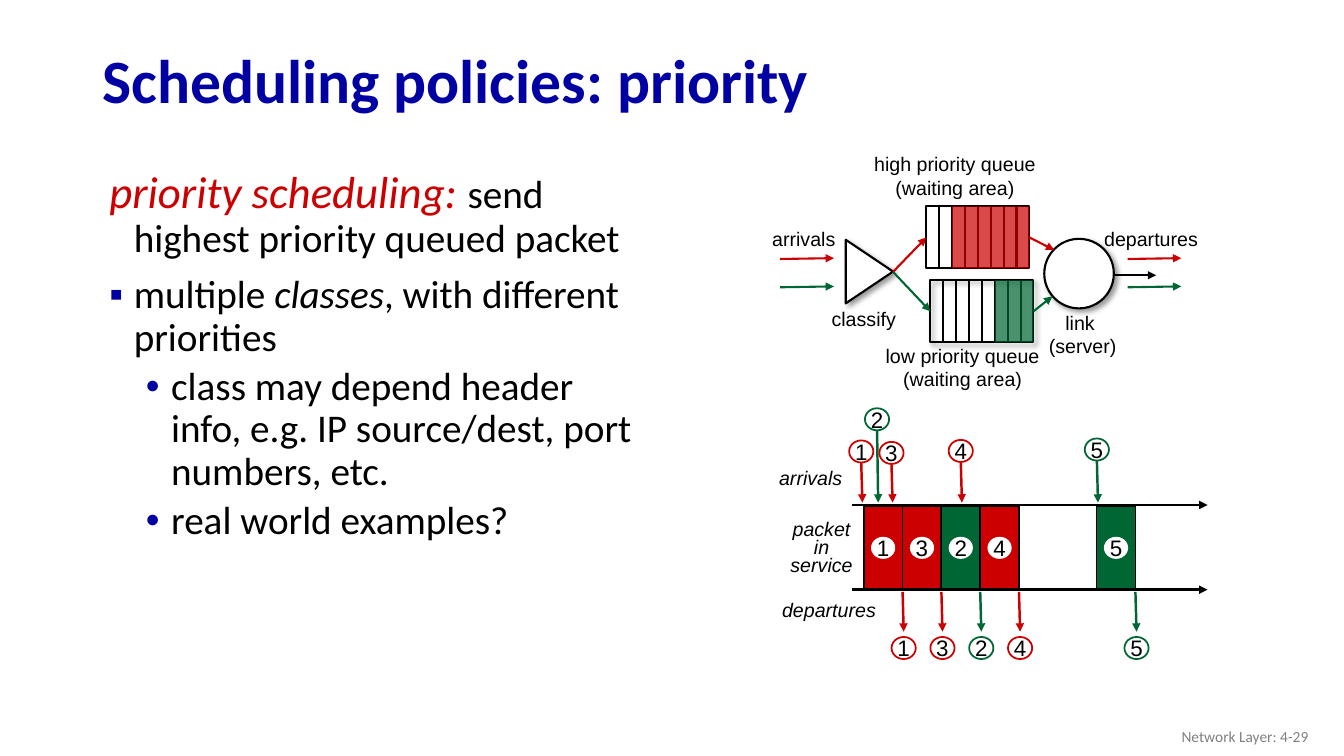
from lxml.etree import SubElement
from pptx import Presentation
from pptx.dml.color import RGBColor
from pptx.enum.shapes import MSO_CONNECTOR as CONNECTOR, MSO_SHAPE as SHAPE
from pptx.enum.text import MSO_ANCHOR as ANCHOR, PP_ALIGN as ALIGN
from pptx.oxml.ns import qn
from pptx.util import Pt

RED, GREEN, BLACK, WHITE, NAVY = "CC0000", "006633", "000000", "FFFFFF", "0000A3"
GREY = "808080"

TITLE = "Scheduling policies: priority"
FOOTER = "Network Layer: 4-29"
BODY = [
    {"runs": [("priority scheduling: ", {"size": 32, "color": RED, "italic": True}),
              ("send highest priority queued packet", {})]},
    {"runs": [("multiple ", {}), ("classes", {"italic": True}),
              (", with different priorities", {})], "bullet": "▪"},
    {"runs": [("class may depend header info, e.g. IP source/dest, port numbers, etc.", {})],
     "bullet": "•", "margin": 54.7, "hang": 18, "before": 5},
    {"runs": [("real world examples?", {})],
     "bullet": "•", "margin": 54.7, "hang": 18, "before": 5},
]

QUEUE_SIZE, QUEUE_CELLS = (73.6, 44.4), 8
QUEUES = {
    "low": {"left": 664.6, "top": 200.2, "filled": 3, "color": GREEN, "shadow": True},
    "high": {"left": 661.7, "top": 147.4, "filled": 6, "color": RED, "shadow": False},
}
CLASSIFIER_TIP = (637.9, 194.2)
SERVER_ENTRY = {"high": (753.1, 178.6), "low": (751.7, 211.7)}
FLOW_ARROWS = [
    (left, y, left + 38.4, y - 0.6, color)
    for left in (557.3, 805.4) for y, color in ((185, RED), (205.2, GREEN))
] + [(795.6, 196.6, 825.8, 196.6, BLACK)]
CENTRED_LABELS = [
    ("high priority queue\n(waiting area)", (614.9, 105.1, 134.6, 41)),
    ("low priority queue\n(waiting area)", (625, 241.9, 125.3, 41)),
    ("arrivals", (544.3, 158.4, 59.8, 24.5)),
    ("classify", (586.1, 216, 61.9, 24.5)),
    ("departures", (781.2, 158.4, 82.1, 24.5)),
    ("link\n (server)", (738, 218.2, 67, 41)),
]

AXIS_LEFT, AXIS_RIGHT, ARRIVAL_AXIS, DEPARTURE_AXIS = 608.4, 862.6, 360.7, 421.2
SERVICE_START, SLOT = 617, 27.72
SERVICE = [("1", 0, RED), ("3", 1, RED), ("2", 2, GREEN), ("4", 3, RED), ("5", 6, GREEN)]
ARRIVALS = [("5", 783.5, 313.2, GREEN), ("2", 626.5, 291.6, GREEN), ("1", 615.2, 314.6, RED),
            ("3", 636.8, 315.6, RED), ("4", 686.3, 314.2, RED)]
BADGE = (17.3, 15.8)
DEPARTURE_BADGE_TOP = 455

deck = Presentation()
deck.slide_width, deck.slide_height = Pt(960), Pt(540)
slide = deck.slides.add_slide(deck.slide_layouts[6])


def rgb(code):
    return RGBColor.from_string(code)


def add_text(text, box=None, shape=None, size=14, font="Arial", color=BLACK, bold=False,
             italic=False, align=ALIGN.LEFT, anchor=ANCHOR.TOP, wrap=False, spacing=None,
             inset=(7.2, 3.6)):
    """Write plain lines or paragraph dicts into a new text box or a given shape."""
    holder = shape or slide.shapes.add_textbox(*map(Pt, box))
    frame = holder.text_frame
    frame.word_wrap, frame.vertical_anchor = wrap, anchor
    frame.margin_left = frame.margin_right = Pt(inset[0])
    frame.margin_top = frame.margin_bottom = Pt(inset[1])
    if isinstance(text, str):
        text = [{"runs": [(line, {})]} for line in text.split("\n")]
    for index, item in enumerate(text):
        paragraph = frame.paragraphs[0] if index == 0 else frame.add_paragraph()
        paragraph.alignment = align
        if spacing:
            paragraph.line_spacing = spacing
        for words, change in item["runs"]:
            run = paragraph.add_run()
            run.text = words
            style = {"size": size, "color": color, "italic": italic, **change}
            run.font.name, run.font.bold = font, bold
            run.font.size, run.font.italic = Pt(style["size"]), style["italic"]
            run.font.color.rgb = rgb(style["color"])
        if "before" in item:
            paragraph.space_before = Pt(item["before"])
            properties = paragraph._p.get_or_add_pPr()
            properties.set("marL", str(Pt(item["margin"])))
            properties.set("indent", str(-Pt(item["hang"])))
            if "bullet" in item:
                tint = SubElement(properties, qn("a:buClr"))
                SubElement(tint, qn("a:srgbClr"), val=NAVY)
                SubElement(properties, qn("a:buFont"), typeface="Arial")
                SubElement(properties, qn("a:buChar"), char=item["bullet"])


def add_shape(kind, box, fill=None, line=None, width=1.5, alpha=None, shadow=False):
    shape = slide.shapes.add_shape(kind, *map(Pt, box))
    shape.shadow.inherit = False
    if fill:
        shape.fill.solid()
        shape.fill.fore_color.rgb = rgb(fill)
    else:
        shape.fill.background()
    if line:
        shape.line.color.rgb, shape.line.width = rgb(line), Pt(width)
    else:
        shape.line.fill.background()
    if alpha:
        tint = shape._element.spPr.find(qn("a:solidFill"))[0]
        SubElement(tint, qn("a:alpha"), val=str(alpha * 1000))
    if shadow:
        effects = shape._element.spPr.find(qn("a:effectLst"))
        cast = SubElement(effects, qn("a:outerShdw"), blurRad=str(Pt(4)), dist=str(Pt(3)),
                          dir="2700000", algn="tl", rotWithShape="0")
        tint = SubElement(cast, qn("a:srgbClr"), val=BLACK)
        SubElement(tint, qn("a:alpha"), val="40000")
    return shape


def add_line(x1, y1, x2, y2, color=BLACK, width=1.5, arrow=True):
    line = slide.shapes.add_connector(CONNECTOR.STRAIGHT, *map(Pt, (x1, y1, x2, y2)))
    line.line.color.rgb, line.line.width = rgb(color), Pt(width)
    if arrow:
        SubElement(line.line._get_or_add_ln(), qn("a:tailEnd"), type="triangle")
    SubElement(line._element.spPr, qn("a:effectLst"))
    return line


def add_badge(number, centre, top, line=None):
    badge = add_shape(SHAPE.OVAL, (centre - BADGE[0] / 2, top, *BADGE), WHITE, line, 1.25)
    add_text(number, shape=badge, size=16, align=ALIGN.CENTER, anchor=ANCHOR.MIDDLE,
             inset=(0, 0))


def add_queue(left, top, filled, color, shadow):
    width, height = QUEUE_SIZE
    cell = width / QUEUE_CELLS
    queue = add_shape(SHAPE.RECTANGLE, (left, top, width, height), line=BLACK, shadow=shadow)
    for index in range(1, QUEUE_CELLS):
        x = left + index * cell
        add_line(x, top, x, top + height, arrow=False)
    add_shape(SHAPE.RECTANGLE, (left + width - filled * cell, top, filled * cell, height),
              color, alpha=71)
    return queue


add_text([{"margin": 28, "hang": 17.5, "before": 10, **item} for item in BODY],
         (60.5, 118.1, 400.3, 380), size=28, font="Calibri", wrap=True, spacing=0.9)
add_text(TITLE, (66.2, 24.5, 828, 70.6), size=44, font="Calibri", color=NAVY, bold=True,
         anchor=ANCHOR.MIDDLE, wrap=True, spacing=0.9)
add_text(FOOTER, (725.8, 511.9, 216, 28.8), size=11, font="Calibri", color=GREY,
         align=ALIGN.RIGHT, anchor=ANCHOR.MIDDLE, wrap=True)

queues = {level: add_queue(**parts) for level, parts in QUEUES.items()}
classifier = add_shape(SHAPE.ISOSCELES_TRIANGLE, (598.3, 177.1, 45.4, 33.8), WHITE, BLACK,
                       shadow=True)
classifier.rotation = 90
add_shape(SHAPE.OVAL, (745.9, 170.6, 49.7, 49.7), WHITE, BLACK, shadow=True)
for level, queue in queues.items():
    color = QUEUES[level]["color"]
    add_line(*CLASSIFIER_TIP, *CLASSIFIER_TIP, color).end_connect(queue, 1)
    add_line(*SERVER_ENTRY[level], *SERVER_ENTRY[level], color).begin_connect(queue, 3)
for x1, y1, x2, y2, color in FLOW_ARROWS:
    add_line(x1, y1, x2, y2, color)
for label, box in CENTRED_LABELS:
    add_text(label, box, align=ALIGN.CENTER)

for axis in (ARRIVAL_AXIS, DEPARTURE_AXIS):
    add_line(AXIS_LEFT, axis, AXIS_RIGHT, axis, width=2)
for number, slot, color in SERVICE:
    start = SERVICE_START + slot * SLOT
    end = start + SLOT
    add_shape(SHAPE.RECTANGLE, (start, 361.4, SLOT, 59.4), color, BLACK, 1.25)
    add_badge(number, start + SLOT / 2, 383.4)
    add_line(end, 422.8, end + 0.8, 451.2, color, 1.75)
    add_badge(number, end + 0.8, DEPARTURE_BADGE_TOP, color)
for number, centre, top, color in ARRIVALS:
    add_line(centre, top + BADGE[1], centre + 0.8, 359, color, 1.75)
    add_badge(number, centre, top, color)

add_text("arrivals", (549.4, 329, 63.4, 24.5), italic=True)
add_text("departures", (551.5, 423.4, 85.7, 24.5), italic=True)
add_text("packet in service", (553, 369.4, 67.7, 46.8), italic=True, align=ALIGN.CENTER,
         wrap=True, spacing=Pt(12.8))

deck.save("out.pptx")
